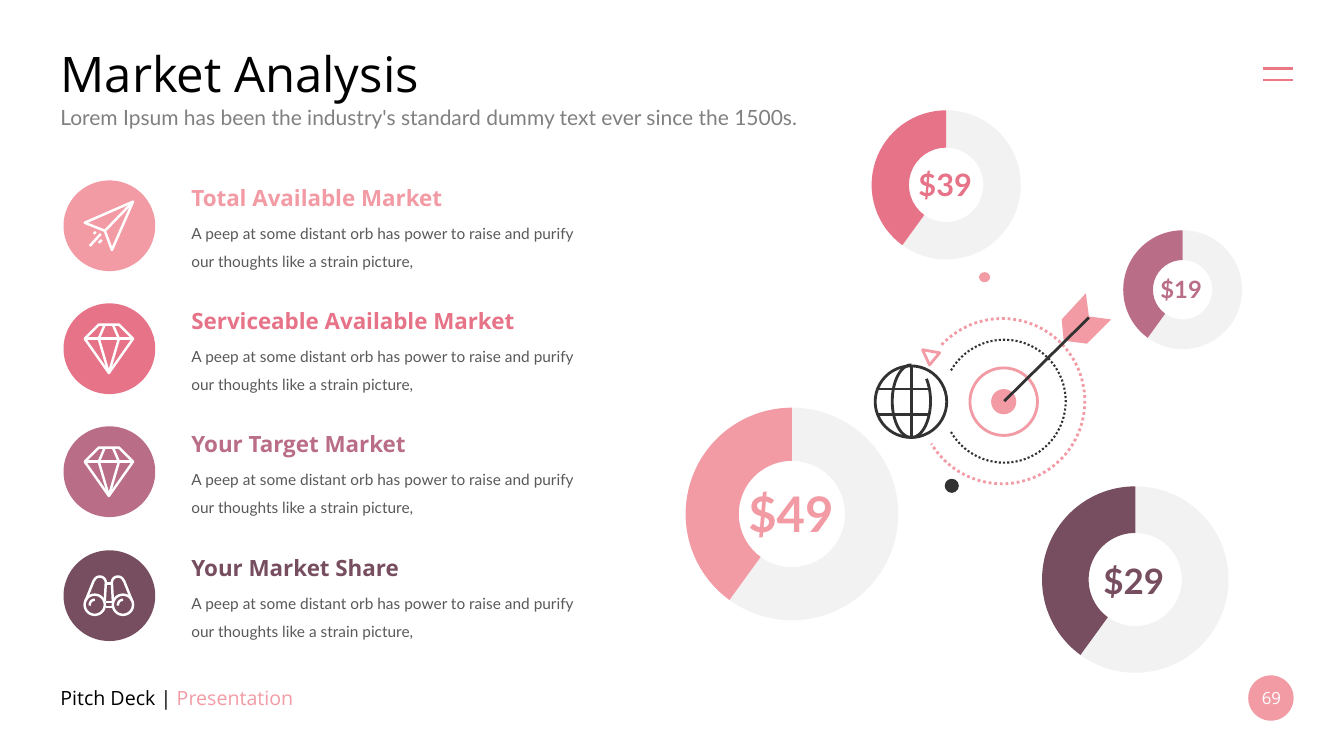
import math

import pptx
import pptx.chart.data
import pptx.dml.color
import pptx.enum.chart
import pptx.enum.dml
import pptx.enum.shapes
import pptx.enum.text
import pptx.oxml
import pptx.oxml.ns
import pptx.util

PX = 9144
PINK, ROSE, MAUVE, PLUM = "F29BA5", "E77388", "BA6D87", "774E60"
DARK, WHITE, BLACK = "323232", "FFFFFF", "000000"
BODY = "A peep at some distant orb has power to raise and purify our thoughts like a strain picture,"
ALIGN = pptx.enum.text.PP_ALIGN
ANCHOR = pptx.enum.text.MSO_ANCHOR
DOTS = pptx.enum.dml.MSO_LINE.ROUND_DOT


def px(*lengths):
    return [round(length * PX) for length in lengths]


def color(hex_string):
    return pptx.dml.color.RGBColor.from_string(hex_string)


def paint(shape, fill=None, line=None, width=2, dash=None):
    shape.shadow.inherit = False
    if fill:
        shape.fill.solid()
        shape.fill.fore_color.rgb = color(fill)
    else:
        shape.fill.background()
    if line:
        shape.line.color.rgb = color(line)
        shape.line.width = pptx.util.Pt(width)
        if dash:
            shape.line.dash_style = dash
    else:
        shape.line.fill.background()


def add_text(slide, text, box, size, ink=BLACK, font="Open Sans", bold=False, align=ALIGN.LEFT,
             anchor=ANCHOR.TOP, wrap=True, spacing=None, accent=None, shape=None):
    shape = shape or slide.shapes.add_textbox(0, 0, 0, 0)
    shape.left, shape.top, shape.width, shape.height = px(*box)
    frame = shape.text_frame
    frame.word_wrap = wrap
    frame.auto_size = pptx.enum.text.MSO_AUTO_SIZE.NONE
    frame.vertical_anchor = anchor
    paragraph = frame.paragraphs[0]
    paragraph.alignment = align
    if spacing:
        paragraph.line_spacing = pptx.util.Pt(spacing)
    for words, run_ink in [(text, ink)] + ([accent] if accent else []):
        run = paragraph.add_run()
        run.text = words
        run.font.name = font
        run.font.size = pptx.util.Pt(size)
        run.font.bold = bold
        run.font.color.rgb = color(run_ink)


def add_ellipse(slide, box, **look):
    shape = slide.shapes.add_shape(pptx.enum.shapes.MSO_SHAPE.OVAL, *px(*box))
    paint(shape, **look)


def add_line(slide, start, end, ink=DARK, width=2):
    connector = slide.shapes.add_connector(pptx.enum.shapes.MSO_CONNECTOR.STRAIGHT, *px(*start, *end))
    connector.line.color.rgb = color(ink)
    connector.line.width = pptx.util.Pt(width)
    connector._element.spPr.append(pptx.oxml.parse_xml(
        "<a:effectLst %s/>" % pptx.oxml.ns.nsdecls("a")))


def add_outline(slide, points, closed=False, **look):
    corners = [px(*point) for point in points]
    builder = slide.shapes.build_freeform(*corners[0], scale=1.0)
    builder.add_line_segments(corners[1:], close=closed)
    paint(builder.convert_to_shape(), **look)


def arc(center, radii, start, end, steps=60):
    angles = [math.radians(start + (end - start) * step / steps) for step in range(steps + 1)]
    return [(center[0] + radii[0] * math.cos(angle), center[1] + radii[1] * math.sin(angle))
            for angle in angles]


def draw_icon(slide, left, top, strokes):
    for points, closed in strokes:
        add_outline(slide, [(left + x, top + y) for x, y in points], closed, line=WHITE, width=1.75)


def diamond():
    return [([(15, 1), (35, 1), (49, 15), (25, 49), (1, 15)], True),
            ([(1, 15), (49, 15)], False),
            ([(21, 1), (15, 15), (25, 49), (35, 15), (29, 1)], False)]


def paper_plane():
    return [([(1, 22), (49, 1), (28, 49), (21, 30)], True),
            ([(21, 30), (49, 1)], False),
            ([(15, 42), (18, 39)], False),
            ([(6, 45), (17, 33)], False),
            ([(10, 33), (12, 31)], False)]


def binoculars():
    barrel = [(2, 30), (10, 10)] + arc((16, 12), (6, 6), 200, 360, 16) + [(21, 30)]
    strokes = [([(x, y - 5) for x, y in barrel], False),
               ([(50 - x, y - 5) for x, y in barrel], False)]
    for center in ((11, 29), (39, 29)):
        strokes += [(arc(center, (10, 10), 0, 360, 40), True),
                    (arc(center, (5, 5), 170, 270, 12), False)]
    return strokes + [([(22, y), (28, y)], False) for y in (8, 26, 31)]


def add_market(slide, row, name, ink, strokes, icon_drop):
    top = 179 + 367 * row // 3
    add_ellipse(slide, (63, top, 91, 90), fill=ink)
    draw_icon(slide, 83, top + icon_drop, strokes)
    add_text(slide, name, (180, top - 1, 401, 37), 16, ink, bold=True)
    add_text(slide, BODY, (180, top + 29, 401, 63), 11, "595959", "Lato", spacing=20)


def set_ring_layout(chart, width, height):
    ring = height - 27
    sides = {"x": (width - ring) / 2 / width, "y": (height - ring) / 2 / height,
             "w": ring / width, "h": ring / height}
    values = "".join('<c:%s val="%.4f"/>' % side for side in sides.items())
    layout = pptx.oxml.parse_xml(
        '<c:layout %s><c:manualLayout><c:layoutTarget val="inner"/><c:xMode val="edge"/>'
        '<c:yMode val="edge"/>%s</c:manualLayout></c:layout>' % (pptx.oxml.ns.nsdecls("c"), values))
    plot_area = chart._chartSpace.chart.plotArea
    for previous in plot_area.findall(pptx.oxml.ns.qn("c:layout")):
        plot_area.remove(previous)
    plot_area.insert(0, layout)
    plot_area.find(".//" + pptx.oxml.ns.qn("c:holeSize")).set("val", "75")


def add_ring(slide, box, ink, price, price_box, size):
    data = pptx.chart.data.CategoryChartData()
    data.categories = ["1", "2"]
    data.add_series("Series 1", (60, 40))
    kind = pptx.enum.chart.XL_CHART_TYPE.DOUGHNUT
    chart = slide.shapes.add_chart(kind, *px(*box), data).chart
    chart.has_legend = False
    chart.has_title = False
    chart.font.name = "Arial"
    chart.font.size = pptx.util.Pt(10)
    chart.font.color.rgb = color(BLACK)
    chart.plots[0].vary_by_categories = False
    for index, fill in enumerate(("F2F2F2", ink)):
        point = chart.plots[0].series[0].points[index]
        point.format.fill.solid()
        point.format.fill.fore_color.rgb = color(fill)
        point.format.line.fill.background()
    set_ring_layout(chart, *box[2:])
    add_text(slide, price, price_box, size, ink, "Lato", bold=True, align=ALIGN.CENTER, wrap=False)


def draw_target(slide):
    add_outline(slide, arc((994, 398), (82, 82), -137, 149), line=PINK, dash=DOTS)
    add_outline(slide, arc((996, 398), (61, 61), -150, 150), line=DARK, width=1.5, dash=DOTS)
    add_ellipse(slide, (962, 365, 67, 67), line=PINK)
    add_ellipse(slide, (983, 386, 25, 25), fill=PINK)
    add_outline(slide, [(915, 347), (932, 350), (922, 362)], True, line=PINK)
    add_ellipse(slide, (937, 475, 14, 14), fill=DARK)
    add_ellipse(slide, (971, 270, 11, 10), fill=PINK)
    feathers = [(1055, 338), (1053, 317), (1077, 291), (1080, 314), (1102, 317), (1078, 341)]
    add_outline(slide, feathers, True, fill=PINK)
    add_line(slide, (996, 398), (1080, 315))


def draw_globe(slide):
    add_outline(slide, arc((904, 398), (19, 36), -38, 270), line=DARK)
    for y in (386, 411):
        add_line(slide, (870, y), (922, y))
    add_line(slide, (904, 363), (904, 434))
    add_ellipse(slide, (868, 363, 71, 71), line=DARK)


def main():
    presentation = pptx.Presentation()
    presentation.slide_width, presentation.slide_height = px(1333, 750)
    slide = presentation.slides.add_slide(presentation.slide_layouts[5])

    add_text(slide, "Market Analysis", (50, 39, 1233, 66), 35, anchor=ANCHOR.MIDDLE,
             shape=slide.shapes.title)
    add_text(slide, "Lorem Ipsum has been the industry's standard dummy text ever since the 1500s.",
             (50, 99, 1233, 35), 15, "808080", "Lato")
    add_text(slide, "Pitch Deck | ", (50, 672, 329, 40), 14, anchor=ANCHOR.MIDDLE,
             accent=("Presentation", PINK))
    add_ellipse(slide, (1238, 670, 45, 45), fill=PINK)
    add_text(slide, "69", (1234, 681, 54, 22), 12, WHITE, align=ALIGN.CENTER, anchor=ANCHOR.MIDDLE)
    for y in (68, 79):
        add_line(slide, (1253, y), (1282, y), "ED7885", 1.5)

    add_ring(slide, (665, 391, 241, 238), PINK, "$49", (732, 475, 105, 69), 35)
    add_ring(slide, (1019, 469, 214, 212), PLUM, "$29", (1084, 550, 81, 52), 25)
    add_ring(slide, (850, 96, 177, 175), ROSE, "$39", (901, 160, 73, 47), 22)
    add_ring(slide, (1100, 215, 146, 145), MAUVE, "$19", (1141, 268, 61, 39), 17)
    draw_target(slide)
    draw_globe(slide)

    markets = [("Total Available Market", PINK, paper_plane(), 20),
               ("Serviceable Available Market", ROSE, diamond(), 20),
               ("Your Target Market", MAUVE, diamond(), 20),
               ("Your Market Share", PLUM, binoculars(), 25)]
    for row, market in enumerate(markets):
        add_market(slide, row, *market)
    presentation.save("out.pptx")


if __name__ == "__main__":
    main()
